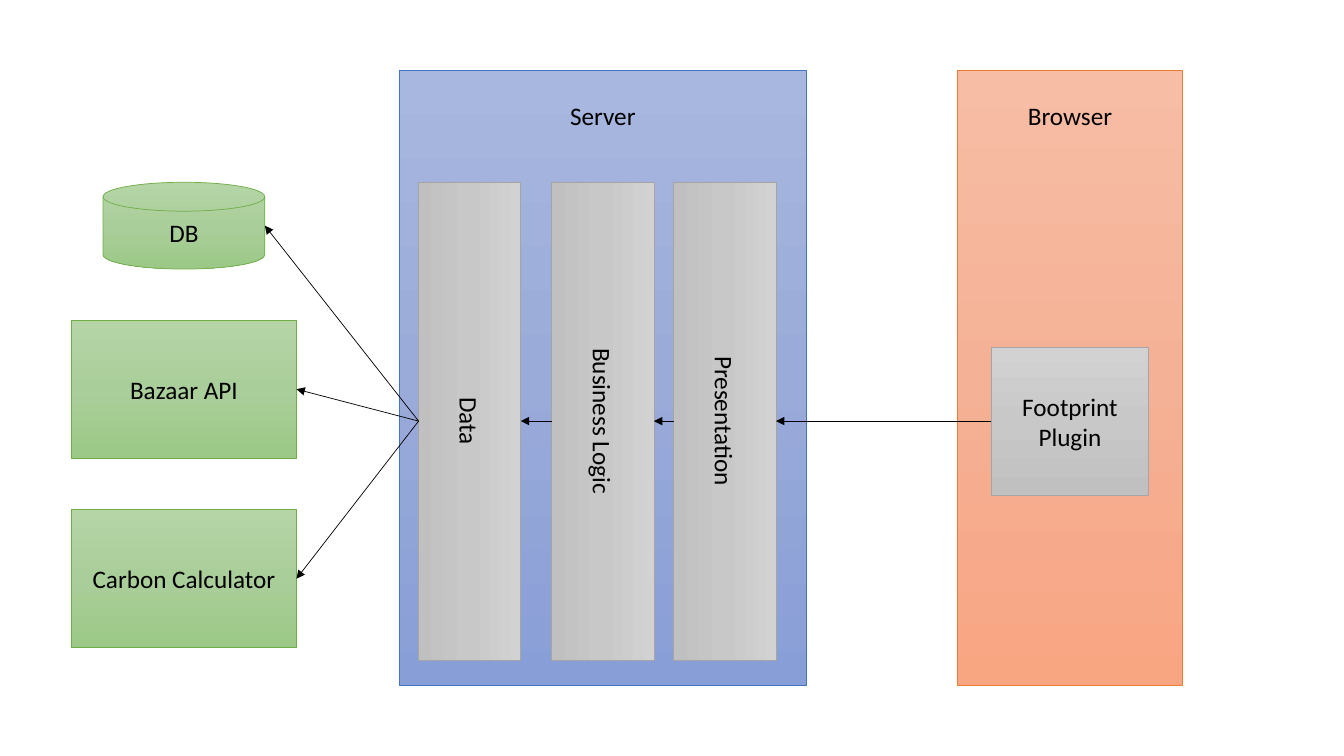
from copy import deepcopy
from pptx import Presentation
from pptx.dml.color import RGBColor
from pptx.enum import shapes, text
from pptx.oxml.ns import qn
from pptx.util import Pt

# Theme: each look holds gradient stops, then the outline
theme = {
    "font": "Calibri", "size": 18, "line": 0.5, "ink": "000000",
    "blue": ("A8B7DF", "9AABD9", "889ED7", "4472C4"),
    "orange": ("F7BDA5", "F5B196", "F8A582", "ED7D31"),
    "gray": ("D2D2D2", "C8C8C8", "C0C0C0", "A5A5A5"),
    "green": ("B5D5A7", "AACE9A", "9CC987", "70AD47"),
}
RECT = shapes.MSO_SHAPE.RECTANGLE
DISK = shapes.MSO_SHAPE.FLOWCHART_MAGNETIC_DISK

deck = Presentation()
deck.slide_width, deck.slide_height = Pt(960), Pt(540)
slide = deck.slides.add_slide(deck.slide_layouts[6])


def label(shape, words):
    para = shape.text_frame.paragraphs[0]
    para.text = words
    para.alignment = text.PP_ALIGN.CENTER
    para.font.name = theme["font"]
    para.font.size = Pt(theme["size"])
    para.font.color.rgb = RGBColor.from_string(theme["ink"])


def box(mid, y, w, h, look, words="", kind=RECT):
    """Add a gradient shape centred on (mid, y)."""
    shape = slide.shapes.add_shape(
        kind, Pt(mid - w / 2), Pt(y - h / 2), Pt(w), Pt(h))
    shape.shadow.inherit = False
    *tones, edge = theme[look]
    shape.fill.gradient()
    shape.fill.gradient_angle = 270
    first = next(shape._element.spPr.iter(qn("a:gs")))
    first.addnext(deepcopy(first))
    for stop, tone, pos in zip(shape.fill.gradient_stops, tones, (0, 0.5, 1)):
        stop.color.rgb = RGBColor.from_string(tone)
        stop.position = pos
    shape.line.color.rgb = RGBColor.from_string(edge)
    shape.line.width = Pt(theme["line"])
    if words:
        shape.text_frame.vertical_anchor = text.MSO_ANCHOR.MIDDLE
        label(shape, words)
    return shape


# Server and browser panels with their headings
for name, mid, wide, look, span in (
        ("Server", 430.6, 291, "blue", 62), ("Browser", 764.3, 161, "orange", 75)):
    box(mid, 270, wide, 439.2, look)
    head = slide.shapes.add_textbox(Pt(mid - span / 2), Pt(68.4), Pt(span), Pt(29))
    head.text_frame.word_wrap = False
    label(head, name)

# Server layers, turned to read downwards
axis, deep, tall = 300.8, 73, 341.3
layers = {"Presentation": 517.8, "Business Logic": 430.6, "Data": 335.5}
for name, mid in layers.items():
    box(mid, axis, tall, deep, "gray", name).rotation = 90

# Data sources
side = 131.4
sources = (("DB", 161.2, 115.6, 62, DISK),
           ("Bazaar API", 278, 160.8, 98.6, RECT),
           ("Carbon Calculator", 413.4, 160.8, 98.6, RECT))
for name, y, w, h, kind in sources:
    box(side, y, w, h, "green", name, kind)

# Browser plugin
plug = 112.6
box(764.3, axis, plug, 106, "gray", "Footprint Plugin")

# Arrows: plugin to layers, layer to layer, data to sources
half = deep / 2
show, logic, data = layers.values()
links = [(start, axis, end + half, axis) for start, end in (
    (764.3 - plug / 2, show), (show - half, logic), (logic - half, data))]
links += [(data - half, axis, side + w / 2, y) for _, y, w, _, _ in sources]
for ends in links:
    link = slide.shapes.add_connector(
        shapes.MSO_CONNECTOR.STRAIGHT, *(Pt(v) for v in ends))
    link.line.color.rgb = RGBColor.from_string(theme["ink"])
    link.line.width = Pt(theme["line"])
    props = link._element.spPr
    tip = props.find(qn("a:ln"))
    tip.append(tip.makeelement(qn("a:tailEnd"), {"type": "triangle"}))
    props.append(props.makeelement(qn("a:effectLst"), {}))

deck.save("out.pptx")
